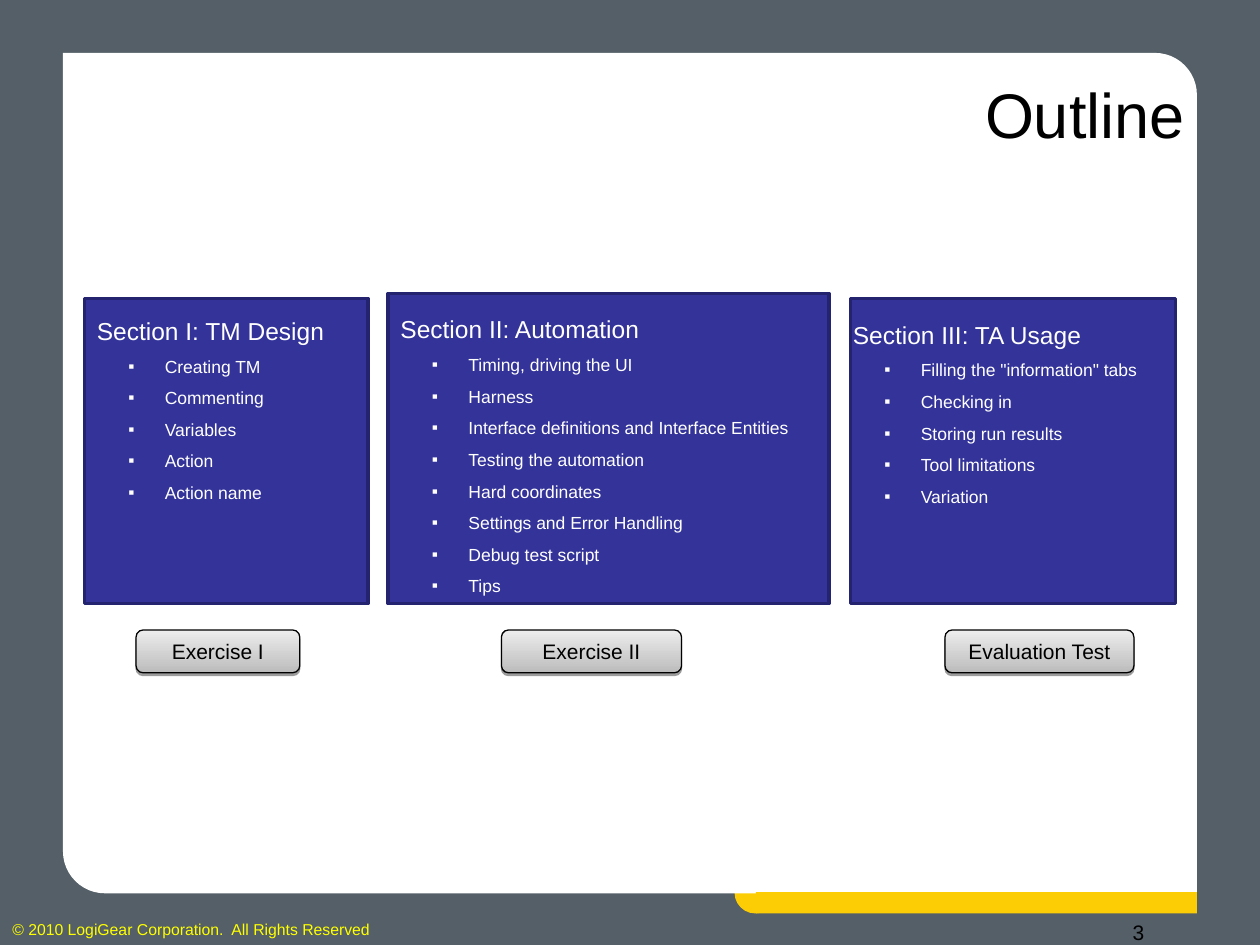
import pptx
import pptx.dml.color
import pptx.enum.shapes
import pptx.enum.text
import pptx.oxml
import pptx.oxml.ns
import pptx.util

Inches = pptx.util.Inches
Pt = pptx.util.Pt
SHAPE = pptx.enum.shapes.MSO_SHAPE
ALIGN = pptx.enum.text.PP_ALIGN
ANCHOR = pptx.enum.text.MSO_ANCHOR
SLATE, YELLOW, GOLD = "545F68", "FFFF00", "FCCD04"
WHITE, BLACK, NAVY, NAVY_EDGE = "FFFFFF", "000000", "333399", "23236F"


def color(hex_value):
    return pptx.dml.color.RGBColor.from_string(hex_value)


def add_xml(parent, tag, body="", **attributes):
    listed = " ".join(f'{name}="{value}"' for name, value in attributes.items())
    namespace = pptx.oxml.ns.nsdecls("a")
    parent.append(pptx.oxml.parse_xml(f"<a:{tag} {namespace} {listed}>{body}</a:{tag}>"))


def style_with(target, formats):
    for name, value in formats.items():
        setattr(target, name, value)


class OutlineSlide:
    """Holds the outline's style and the slide being drawn."""

    font_name = "Arial"

    def __init__(self, presentation):
        self.slide = presentation.slides.add_slide(presentation.slide_layouts[6])
        background = self.slide.background.fill
        background.solid()
        background.fore_color.rgb = color(SLATE)

    def shape(self, kind, box, fill, edge=None, width=2):
        shape = self.slide.shapes.add_shape(kind, *map(Inches, box))
        shape.shadow.inherit = False
        if fill:
            shape.fill.solid()
            shape.fill.fore_color.rgb = color(fill)
        if edge:
            shape.line.color.rgb = color(edge)
            shape.line.width = Pt(width)
        else:
            shape.line.fill.background()
        return shape

    def wording(self, paragraph, text, size, hex_value, **formats):
        style_with(paragraph, formats)
        run = paragraph.add_run()
        run.text = text
        style_with(run.font, {"name": self.font_name, "size": Pt(size)})
        run.font.color.rgb = color(hex_value)

    def label(self, box, text, size, hex_value, align=ALIGN.LEFT, **formats):
        frame = self.slide.shapes.add_textbox(*map(Inches, box)).text_frame
        style_with(frame, formats)
        self.wording(frame.paragraphs[0], text, size, hex_value, alignment=align)

    def section(self, frame, heading, topics):
        style_with(frame, {"word_wrap": True, "vertical_anchor": ANCHOR.TOP})
        style = {"line_spacing": 1.5, "alignment": ALIGN.LEFT}
        self.wording(frame.paragraphs[0], heading, 14, WHITE, **style)
        for topic in topics:
            paragraph = frame.add_paragraph()
            paragraph.level = 1
            properties = paragraph._p.get_or_add_pPr()
            properties.set("marL", str(Inches(0.54)))
            properties.set("indent", str(Inches(-0.29)))
            add_xml(properties, "buClr", f'<a:srgbClr val="{WHITE}"/>')
            add_xml(properties, "buFont", typeface=self.font_name)
            add_xml(properties, "buChar", char="▪")
            self.wording(paragraph, topic, 10, WHITE, **style)

    def text_section(self, box, heading, topics):
        self.section(self.slide.shapes.add_textbox(*map(Inches, box)).text_frame, heading, topics)

    def button(self, left, width, text):
        button = self.shape(SHAPE.ROUNDED_RECTANGLE, (left, 5, width, 0.34), None, BLACK, 0.75)
        button.fill.gradient()
        button.fill.gradient_angle = 90
        for stop, shade in zip(button.fill.gradient_stops, ("BCBCBC", "EDEDED")):
            stop.color.rgb = color(shade)
        shadow = f'<a:srgbClr val="{BLACK}"><a:alpha val="38000"/></a:srgbClr>'
        add_xml(button._element.spPr.find(pptx.oxml.ns.qn("a:effectLst")), "outerShdw", shadow,
                blurRad=0, dist=Pt(1.6), dir=5400000, rotWithShape=0)
        frame = button.text_frame
        style_with(frame, {"word_wrap": True, "vertical_anchor": ANCHOR.MIDDLE})
        self.wording(frame.paragraphs[0], text, 12, BLACK, alignment=ALIGN.CENTER)

    def arrow(self, start, end):
        arrow = self.slide.shapes.add_connector(
            pptx.enum.shapes.MSO_CONNECTOR.STRAIGHT, *map(Inches, start + end))
        arrow.line.color.rgb = color(BLACK)
        arrow.line.width = Pt(0.75)
        add_xml(arrow._element.spPr.find(pptx.oxml.ns.qn("a:ln")), "tailEnd", type="stealth")
        add_xml(arrow._element.spPr, "effectLst")


def main():
    presentation = pptx.Presentation()
    style_with(presentation, {"slide_width": Inches(10), "slide_height": Inches(7.5)})
    outline = OutlineSlide(presentation)

    outline.shape(SHAPE.OVAL, (5.83, 6.92, 0.33, 0.33), GOLD)
    panel = outline.shape(SHAPE.ROUND_2_DIAG_RECTANGLE, (0.5, 0.42, 9, 6.67), WHITE)
    panel.adjustments[0], panel.adjustments[1] = 0, 0.05
    outline.label((0, 7.25, 3.04, 0.25), "© 2010 LogiGear Corporation.  All Rights Reserved",
                  9, YELLOW, word_wrap=False)
    outline.shape(SHAPE.RECTANGLE, (6, 7.08, 3.5, 0.17), GOLD)
    outline.label((8.89, 7.25, 0.96, 0.3), "3", 12, BLACK, word_wrap=False)

    for left, width in ((6.75, 2.58), (0.67, 2.25)):
        outline.shape(SHAPE.RECTANGLE, (left, 2.37, width, 2.42), NAVY, NAVY_EDGE)
    outline.label((2.58, 0.37, 6.92, 1.05), "Outline", 36, BLACK, ALIGN.RIGHT,
                  word_wrap=True, vertical_anchor=ANCHOR.MIDDLE)
    outline.arrow((7.5, 3.79), (7.5, 3.79))

    outline.text_section((0.67, 2.34, 2.33, 1.7), "Section I: TM Design", [
        "Creating TM", "Commenting", "Variables", "Action", "Action name"])
    automation = outline.shape(SHAPE.RECTANGLE, (3.08, 2.33, 3.5, 2.46), NAVY, NAVY_EDGE)
    outline.section(automation.text_frame, "Section II: Automation", [
        "Timing, driving the UI", "Harness", "Interface definitions and Interface Entities",
        "Testing the automation", "Hard coordinates", "Settings and Error Handling",
        "Debug test script", "Tips"])
    outline.text_section((6.67, 2.37, 2.67, 1.7), "Section III: TA Usage", [
        'Filling the "information" tabs', "Checking in", "Storing run results",
        "Tool limitations", "Variation"])

    for left, width, text in ((1.08, 1.3, "Exercise I"), (3.98, 1.43, "Exercise II"),
                              (7.5, 1.5, "Evaluation Test")):
        outline.button(left, width, text)
    presentation.save("out.pptx")


if __name__ == "__main__":
    main()
